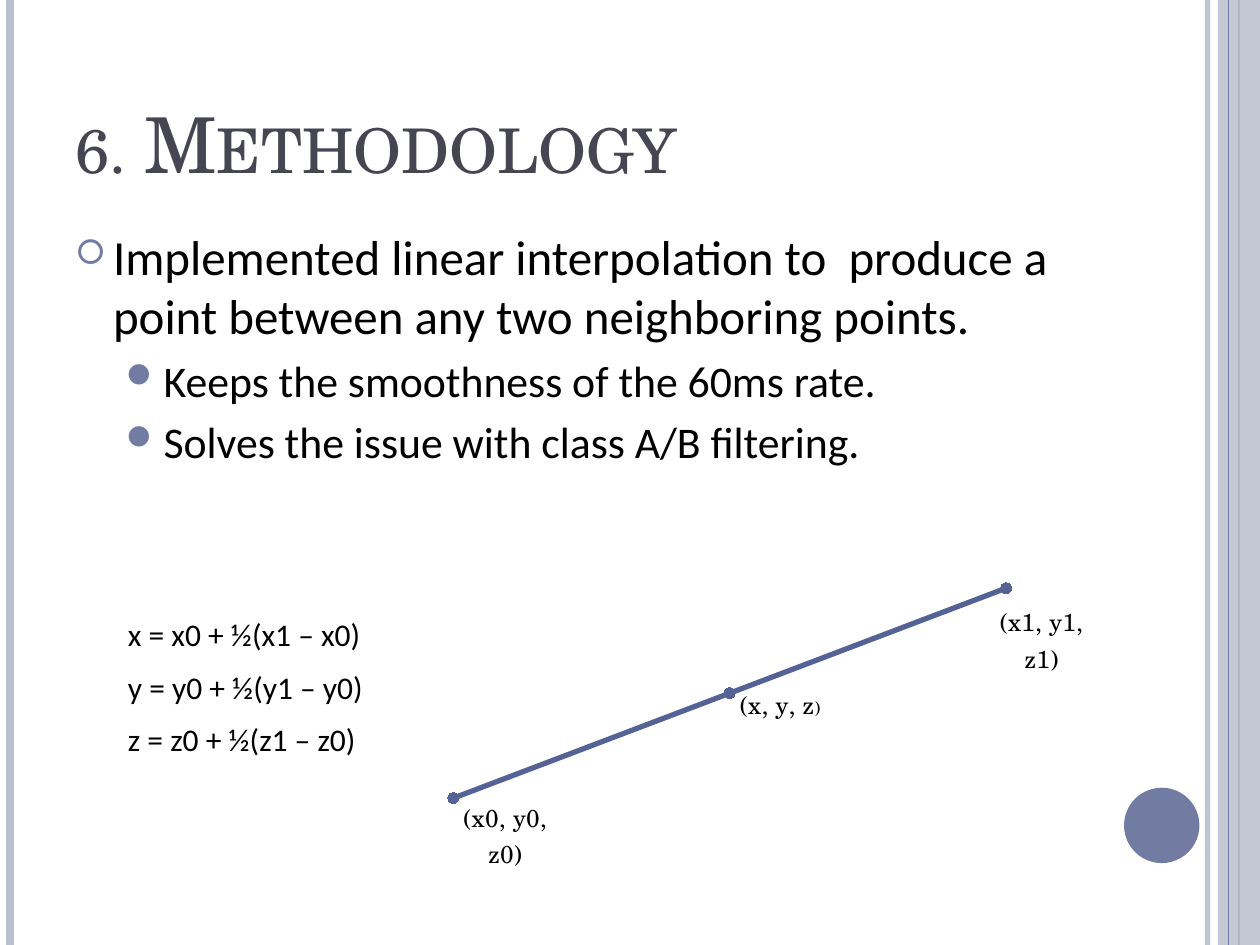
from dataclasses import dataclass

from lxml.etree import SubElement
from pptx import Presentation
from pptx.chart.data import CategoryChartData
from pptx.dml.color import RGBColor
from pptx.enum.chart import XL_CHART_TYPE, XL_LABEL_POSITION, XL_MARKER_STYLE
from pptx.enum.shapes import MSO_CONNECTOR, MSO_SHAPE
from pptx.enum.text import MSO_ANCHOR, PP_ALIGN
from pptx.oxml import parse_xml
from pptx.oxml.ns import nsdecls, qn
from pptx.util import Cm, Pt


@dataclass(frozen=True)
class Theme:
    accent: str = "727CA3"
    pale: str = "BCBFCE"
    series: str = "546296"
    heading: str = "464653"
    ink: str = "000000"
    serif: str = "TeX Gyre Schola"
    sans: str = "Calibri"
    symbols: str = "Wingdings"
    title_size: int = 44
    body_size: int = 28
    sub_size: int = 25
    equation_size: int = 18
    label_size: int = 14
    small_label_size: int = 10


theme = Theme()


def add_text(paragraph, text, size, font=theme.sans, color=theme.ink,
             small_caps=False, bullet=None, bullet_size=100, left=0, hanging=0, before=None):
    run = paragraph.add_run()
    run.text = text
    run.font.size = Pt(size)
    run.font.name = font
    run.font.color.rgb = RGBColor.from_string(color)
    if small_caps:
        run.font._element.set("cap", "small")
    if before is not None:
        paragraph.space_before = Pt(before)
    if bullet:
        properties = paragraph._p.get_or_add_pPr()
        properties.set("marL", str(Cm(left)))
        properties.set("indent", str(-Cm(hanging)))
        bullet_color = SubElement(properties, qn("a:buClr"))
        SubElement(bullet_color, qn("a:srgbClr"), val=theme.accent)
        SubElement(properties, qn("a:buSzPct"), val=str(bullet_size * 1000))
        SubElement(properties, qn("a:buFont"), typeface=theme.symbols, charset="2")
        SubElement(properties, qn("a:buChar"), char=bullet)


def set_opacity(shape, percent):
    for color in shape._element.spPr.iter(qn("a:srgbClr")):
        SubElement(color, qn("a:alpha"), val=str(percent * 1000))


presentation = Presentation()
presentation.slide_width = Cm(25.4)
presentation.slide_height = Cm(19.05)
slide = presentation.slides.add_slide(presentation.slide_layouts[5])
shapes = slide.shapes

# Vertical rules, the side band and the page disc
rules = [(24.34, theme.pale, 3, 93), (0.21, theme.pale, 4.5, 100),
         (24.98, theme.accent, 1.5, 100), (24.77, theme.accent, 0.75, 100)]
for x, color, width, opacity in rules:
    rule = shapes.add_connector(MSO_CONNECTOR.STRAIGHT, Cm(x), 0, Cm(x), Cm(19.05))
    rule.line.color.rgb = RGBColor.from_string(color)
    rule.line.width = Pt(width)
    set_opacity(rule, opacity)
    SubElement(rule._element.spPr, qn("a:effectLst"))

band = shapes.add_shape(MSO_SHAPE.RECTANGLE, Cm(24.55), 0, Cm(0.85), Cm(19.05))
disc = shapes.add_shape(MSO_SHAPE.OVAL, Cm(22.66), Cm(15.88), Cm(1.52), Cm(1.52))
for shape, color in [(band, theme.pale), (disc, theme.accent)]:
    shape.shadow.inherit = False
    shape.fill.solid()
    shape.fill.fore_color.rgb = RGBColor.from_string(color)
    shape.line.fill.background()
set_opacity(band, 87)
# The thin inner rule lies in front of the band
band._element.addnext(rule._element)

# Title
title = shapes.title
title.left, title.top, title.width, title.height = Cm(1.27), Cm(0.76), Cm(20.75), Cm(3.18)
title.text_frame.vertical_anchor = MSO_ANCHOR.BOTTOM
title.text_frame.paragraphs[0].alignment = PP_ALIGN.LEFT
add_text(title.text_frame.paragraphs[0], "6. Methodology", theme.title_size,
         font=theme.serif, color=theme.heading, small_caps=True)

# Bullets: in the symbol font "¡" is a ring and "l" a disc
body = shapes.add_textbox(Cm(1.27), Cm(4.45), Cm(20.75), Cm(7.19)).text_frame
body.word_wrap = True
add_text(body.paragraphs[0],
         "Implemented linear interpolation to  produce a point between any two neighboring points.",
         theme.body_size, bullet="¡", bullet_size=70, left=0.76, hanging=0.76, before=6)
for text in ["Keeps the smoothness of the 60ms rate.", "Solves the issue with class A/B filtering."]:
    add_text(body.add_paragraph(), text, theme.sub_size,
             bullet="l", bullet_size=80, left=1.78, hanging=0.76, before=5)

# Interpolation chart
chart_data = CategoryChartData()
chart_data.categories = ["1", "2", "3"]
chart_data.add_series("Series 1", [1, 2, 3])
chart = shapes.add_chart(XL_CHART_TYPE.LINE_MARKERS, Cm(6.35), Cm(10.8),
                         Cm(16.72), Cm(7.41), chart_data).chart
chart.has_legend = False
chart.has_title = False
chart.font.name = theme.serif
chart.font.size = Pt(theme.small_label_size)
chart.font.color.rgb = RGBColor.from_string(theme.ink)
chart.category_axis.visible = False
chart.value_axis.visible = False
chart.value_axis.has_major_gridlines = False

plot = chart.plots[0]
plot.vary_by_categories = False
series = plot.series[0]
series.smooth = False
series.format.line.width = Pt(3)
series.format.line.color.rgb = RGBColor.from_string(theme.series)
series.marker.style = XL_MARKER_STYLE.CIRCLE
series.marker.size = 6
series.marker.format.fill.solid()
series.marker.format.fill.fore_color.rgb = RGBColor.from_string(theme.series)
series.marker.format.line.color.rgb = RGBColor.from_string(theme.series)

plot_area = chart._chartSpace.chart.plotArea
for old_layout in plot_area.findall(qn("c:layout")):
    plot_area.remove(old_layout)
plot_area.insert(0, parse_xml(
    f'<c:layout {nsdecls("c")}><c:manualLayout><c:layoutTarget val="inner"/>'
    '<c:xMode val="edge"/><c:yMode val="edge"/><c:x val="0"/><c:y val="0"/>'
    '<c:w val="1"/><c:h val="1"/></c:manualLayout></c:layout>'))

# Each label: text runs with sizes, then its shift as a share of the chart
series.data_labels.show_value = True
labels = [([("(x0, y0, z0)", theme.label_size)], 0, 0.1),
          ([("(x, y, z", theme.label_size), (")", theme.small_label_size)], 0, 0.03),
          ([("(x1, y1, z1)", theme.label_size)], -0.02, 0.14)]
series_labels = series._element.find(qn("c:dLbls"))
for index, (runs, shift_x, shift_y) in enumerate(labels):
    label = series.points[index].data_label
    for text, size in runs:
        add_text(label.text_frame.paragraphs[0], text, size, font=theme.serif)
    label.position = XL_LABEL_POSITION.RIGHT
    label_element = series_labels.findall(qn("c:dLbl"))[index]
    label_element.find(qn("c:idx")).addnext(parse_xml(
        f'<c:layout {nsdecls("c")}><c:manualLayout><c:x val="{shift_x}"/>'
        f'<c:y val="{shift_y}"/></c:manualLayout></c:layout>'))
for leader_lines in series_labels.findall(qn("c:showLeaderLines")):
    leader_lines.set("val", "0")

# Equations
for row, axis in enumerate("xyz"):
    equation = shapes.add_textbox(Cm(2.33), Cm(12.28 + 1.06 * row), Cm(5.3), Cm(1.02))
    equation.text_frame.word_wrap = False
    add_text(equation.text_frame.paragraphs[0],
             f"{axis} = {axis}0 + ½({axis}1 – {axis}0)", theme.equation_size)

presentation.save("out.pptx")
